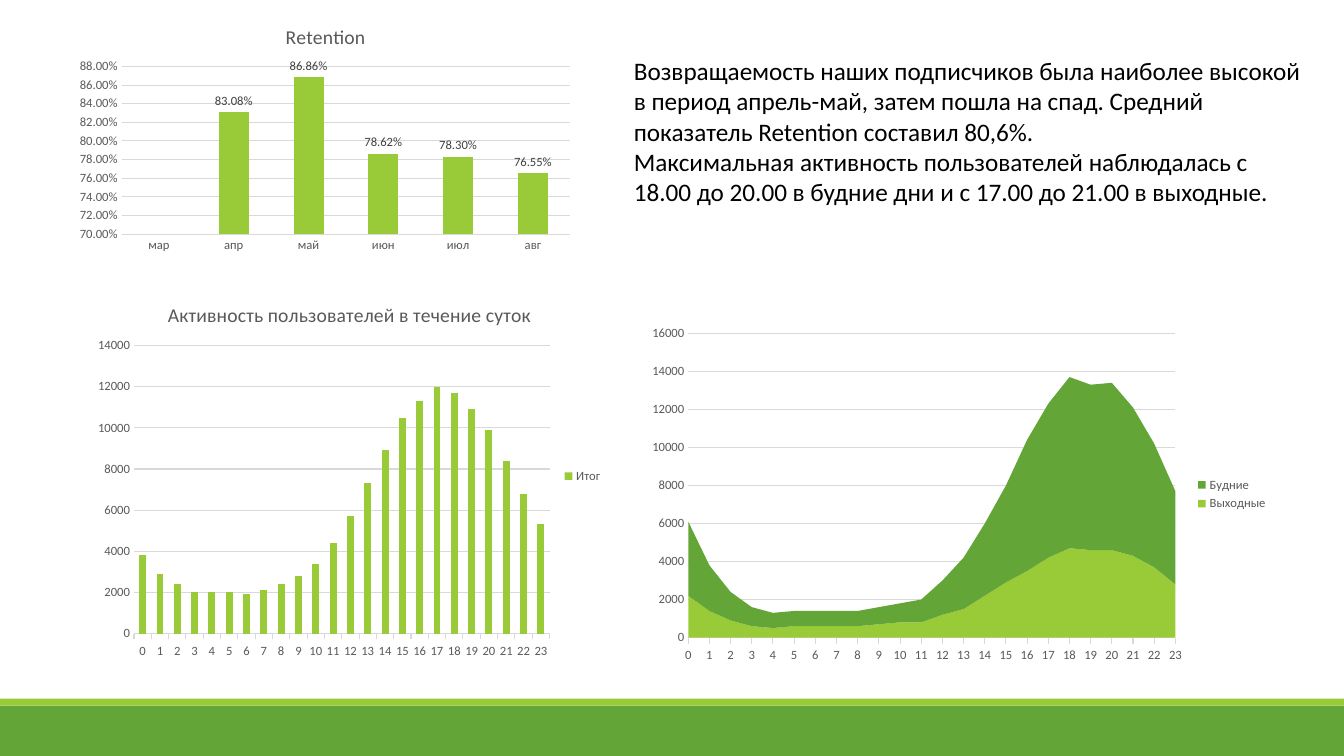
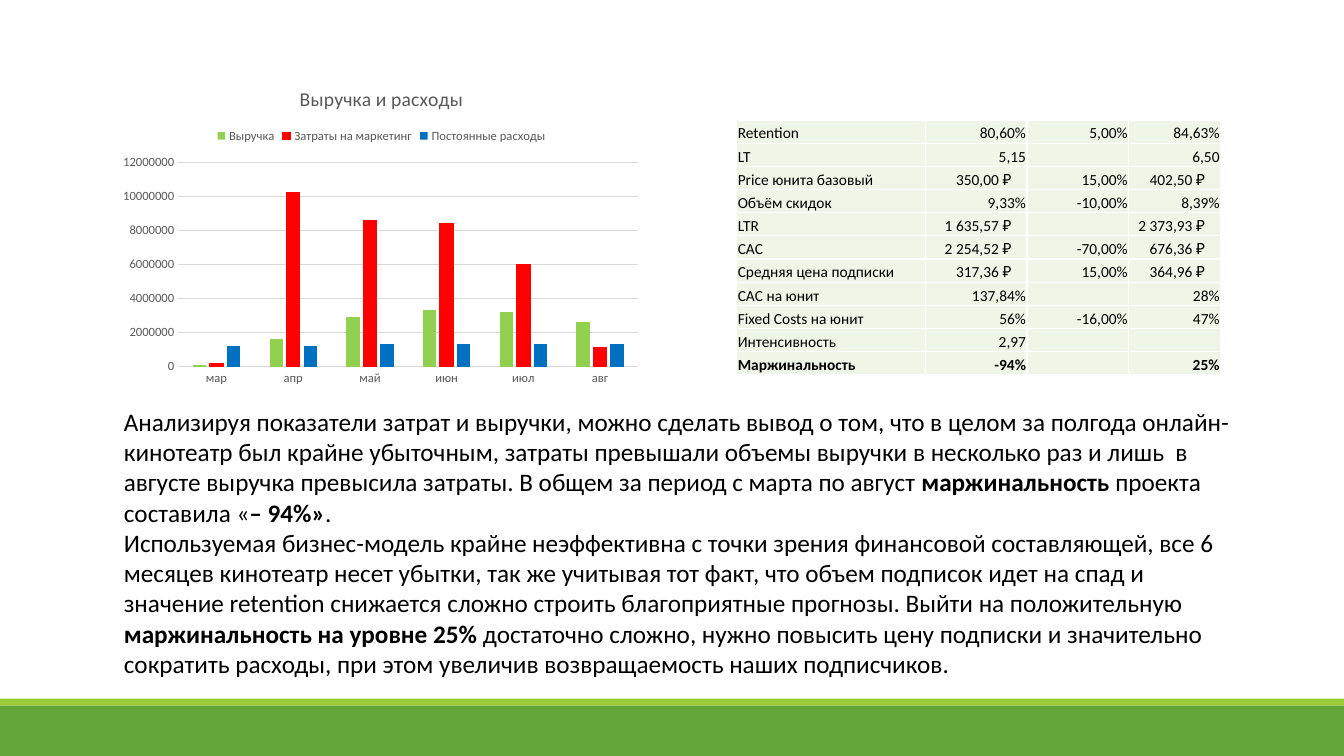
from dataclasses import dataclass
from lxml import etree
from pptx import Presentation
from pptx.chart.data import CategoryChartData
from pptx.dml.color import RGBColor
from pptx.enum.chart import XL_CHART_TYPE, XL_LABEL_POSITION, XL_LEGEND_POSITION, XL_TICK_MARK
from pptx.enum.shapes import MSO_SHAPE
from pptx.enum.text import MSO_ANCHOR, PP_ALIGN
from pptx.oxml.ns import qn
from pptx.util import Pt

BAR, AREA = XL_CHART_TYPE.COLUMN_CLUSTERED, XL_CHART_TYPE.AREA_STACKED
RIGHT, TOP = XL_LEGEND_POSITION.RIGHT, XL_LEGEND_POSITION.TOP
NONE, OUT = XL_TICK_MARK.NONE, XL_TICK_MARK.OUTSIDE
ABOVE = XL_LABEL_POSITION.OUTSIDE_END
RECT = MSO_SHAPE.RECTANGLE
BASE = MSO_ANCHOR.BOTTOM
LEFT_AL, RIGHT_AL = PP_ALIGN.LEFT, PP_ALIGN.RIGHT


@dataclass(frozen=True)
class Theme:
    face: str = "Calibri"
    green: str = "63A537"
    lime: str = "99CB38"
    leaf: str = "92D050"
    red: str = "FF0000"
    blue: str = "0070C0"
    pale: str = "EFF6E8"
    white: str = "FFFFFF"
    ink: str = "000000"
    gray: str = "595959"
    dark: str = "404040"
    grid: str = "D9D9D9"
    body: float = 18
    head: float = 14
    cell: float = 11
    note: float = 9
    hair: float = 0.75


T = Theme()
WIDE, HIGH = 960, 540
BANDS = [(504, 36, T.green), (499, 5, T.lime)]

MONTHS = ["мар", "апр", "май", "июн", "июл", "авг"]
HOURS = [str(hour) for hour in range(24)]

RETURN = {
    "box": (50.4, 6.5, 364.3, 178.6), "plot": (0.1, 0.23, 0.88, 0.67),
    "kind": BAR, "title": "Retention", "cats": MONTHS, "gap": {"gap_width": 150},
    "scale": (0.7, 0.88, 0.02), "format": "0.00%", "tick": NONE, "base": False,
    "legend": None, "labels": True,
    "series": [("Retention", T.lime, None, [None, 0.8308, 0.8686, 0.7862, 0.783, 0.7655])],
}
DAY = {
    "box": (61.9, 203, 375.8, 274.3), "plot": (0.09, 0.16, 0.79, 0.75),
    "kind": BAR, "title": "Активность пользователей в течение суток", "cats": HOURS,
    "gap": {"gap_width": 150}, "scale": (0, 14000, 2000), "format": "General",
    "tick": OUT, "base": True, "legend": RIGHT, "labels": False,
    "series": [("Итог", T.lime, None, [
        3800, 2900, 2400, 2000, 2000, 2000, 1900, 2100, 2400, 2800, 3400, 4400,
        5700, 7300, 8900, 10500, 11300, 12000, 11700, 10900, 9900, 8400, 6800, 5300])],
}
WEEK = {
    "box": (455, 228.2, 457.9, 249.8), "plot": (0.08, 0.04, 0.76, 0.87),
    "kind": AREA, "title": None, "cats": HOURS, "gap": {},
    "scale": (0, 16000, 2000), "format": "General", "tick": OUT, "base": True,
    "legend": RIGHT, "labels": False,
    "series": [
        ("Выходные", T.lime, None, [
            2200, 1400, 900, 600, 500, 600, 600, 600, 600, 700, 800, 800,
            1200, 1500, 2200, 2900, 3500, 4200, 4700, 4600, 4600, 4300, 3700, 2800]),
        ("Будние", T.green, None, [
            3900, 2400, 1500, 1000, 800, 800, 800, 800, 800, 900, 1000, 1200,
            1800, 2700, 3800, 5100, 6900, 8100, 9000, 8700, 8800, 7800, 6500, 4900]),
    ],
}
MONEY = {
    "box": (81.4, 49.7, 382.3, 228.2), "plot": (0.12, 0.29, 0.86, 0.64),
    "kind": BAR, "title": "Выручка и расходы", "cats": MONTHS,
    "gap": {"gap_width": 219, "overlap": -27}, "scale": (0, 12000000, 2000000),
    "format": "General", "tick": NONE, "base": True, "legend": TOP, "labels": False,
    "series": [
        ("Выручка", T.leaf, None, [100000, 1600000, 2900000, 3300000, 3200000, 2600000]),
        ("Затраты на маркетинг", T.red, T.red,
         [200000, 10200000, 8600000, 8400000, 6000000, 1100000]),
        ("Постоянные расходы", T.blue, None,
         [1200000, 1200000, 1300000, 1300000, 1300000, 1300000]),
    ],
}

HABITS = [
    "Возвращаемость наших подписчиков была наиболее высокой в период апрель-май, "
    "затем пошла на спад. Средний показатель Retention составил 80,6%.",
    "Максимальная активность пользователей наблюдалась с 18.00 до 20.00 в будние дни "
    "и с 17.00 до 21.00 в выходные.",
]
VERDICT = [
    "Анализируя показатели затрат и выручки, можно сделать вывод о том, что в целом за "
    "полгода онлайн-кинотеатр был крайне убыточным, затраты превышали объемы выручки в "
    "несколько раз и лишь  в августе выручка превысила затраты. В общем за период с марта "
    "по август* маржинальность *проекта составила «*– 94%»*.",
    "Используемая бизнес-модель крайне неэффективна с точки зрения финансовой составляющей, "
    "все 6 месяцев кинотеатр несет убытки, так же учитывая тот факт, что объем подписок идет "
    "на спад и значение retention снижается сложно строить благоприятные прогнозы. Выйти на "
    "положительную *маржинальность на уровне 25% *достаточно сложно, нужно повысить цену "
    "подписки и значительно сократить расходы, при этом увеличив возвращаемость наших "
    "подписчиков.",
]
COLS = [134.6, 72.7, 72.7, 65.6]
ROW = 16.56
UNITS = [
    ("Retention", "80,60%", "5,00%", "84,63%"),
    ("LT", "5,15", "", "6,50"),
    ("Price юнита базовый", "350,00 ₽", "15,00%", "402,50 ₽"),
    ("Объём скидок", "9,33%", "-10,00%", "8,39%"),
    ("LTR", "1 635,57 ₽", "", "2 373,93 ₽"),
    ("CAC", "2 254,52 ₽", "-70,00%", "676,36 ₽"),
    ("Средняя цена подписки", "317,36 ₽", "15,00%", "364,96 ₽"),
    ("CAC на юнит", "137,84%", "", "28%"),
    ("Fixed Costs на юнит", "56%", "-16,00%", "47%"),
    ("Интенсивность", "2,97", "", ""),
    ("Маржинальность", "-94%", "", "25%"),
]


def put(target, values):
    for name, value in values.items():
        setattr(target, name, value)


def points(box):
    return [Pt(side) for side in box]


def paint(fill, color):
    fill.solid()
    fill.fore_color.rgb = RGBColor.from_string(color)


def stroke(line, color, width=T.hair):
    paint(line.fill, color)
    line.width = Pt(width)


def style(font, size, color=T.ink, bold=False):
    put(font, {"name": T.face, "size": Pt(size), "bold": bold})
    font.color.rgb = RGBColor.from_string(color)


def add_bands(slide, master):
    for top, height, color in BANDS:
        band = slide.shapes.add_shape(RECT, *points((0, top, WIDE, height)))
        band.shadow.inherit = False
        paint(band.fill, color)
        band.line.fill.background()
        master.shapes.element.append(band.element)


def add_text(slide, box, lines):
    frame = slide.shapes.add_textbox(*points(box)).text_frame
    frame.word_wrap = True
    for row, line in enumerate(lines):
        para = frame.add_paragraph() if row else frame.paragraphs[0]
        for part, words in enumerate(line.split("*")):
            run = para.add_run()
            run.text = words
            style(run.font, T.body, bold=part % 2 == 1)


def place_plot(chart, box):
    area = chart.element.find(".//" + qn("c:plotArea"))
    for old in area.findall(qn("c:layout")):
        area.remove(old)
    layout = etree.Element(qn("c:layout"))
    manual = etree.SubElement(layout, qn("c:manualLayout"))
    pairs = [("layoutTarget", "inner"), ("xMode", "edge"), ("yMode", "edge"),
             *zip("xywh", box)]
    for tag, value in pairs:
        etree.SubElement(manual, qn("c:" + tag), val=str(value))
    area.insert(0, layout)


def set_axes(chart, info):
    low, high, step = info["scale"]
    rows, cols = chart.value_axis, chart.category_axis
    put(rows, {"minimum_scale": low, "maximum_scale": high, "major_unit": step,
               "major_tick_mark": NONE, "minor_tick_mark": NONE,
               "has_major_gridlines": True})
    put(rows.tick_labels, {"number_format": info["format"], "number_format_is_linked": False})
    stroke(rows.major_gridlines.format.line, T.grid)
    rows.format.line.fill.background()
    put(cols, {"major_tick_mark": info["tick"], "minor_tick_mark": NONE,
               "has_major_gridlines": False})
    if info["base"]:
        stroke(cols.format.line, T.grid)
    else:
        cols.format.line.fill.background()
    for axis in (rows, cols):
        style(axis.tick_labels.font, T.note, T.gray)


def add_graph(slide, info):
    data = CategoryChartData(number_format=info["format"])
    data.categories = info["cats"]
    for name, color, edge, values in info["series"]:
        data.add_series(name, values)
    chart = slide.shapes.add_chart(info["kind"], *points(info["box"]), data).chart
    style(chart.font, T.note, T.gray)
    put(chart, {"has_title": bool(info["title"]), "has_legend": bool(info["legend"])})
    if info["title"]:
        frame = chart.chart_title.text_frame
        frame.text = info["title"]
        style(frame.paragraphs[0].runs[0].font, T.head, T.gray)
    if info["legend"]:
        put(chart.legend, {"position": info["legend"], "include_in_layout": False})
        style(chart.legend.font, T.note, T.gray)
    plot = chart.plots[0]
    put(plot, {"vary_by_categories": False, **info["gap"]})
    for series, (name, color, edge, values) in zip(plot.series, info["series"]):
        paint(series.format.fill, color)
        if edge:
            stroke(series.format.line, edge)
    if info["labels"]:
        plot.has_data_labels = True
        put(plot.data_labels, {"show_value": True, "position": ABOVE,
                               "number_format": info["format"],
                               "number_format_is_linked": False})
        style(plot.data_labels.font, T.note, T.dark)
    set_axes(chart, info)
    place_plot(chart, info["plot"])


def edge_cell(cell):
    props = cell._tc.get_or_add_tcPr()
    for spot, side in enumerate(("lnL", "lnR", "lnT", "lnB")):
        line = etree.Element(qn("a:" + side), w=str(Pt(1)))
        fill = etree.SubElement(line, qn("a:solidFill"))
        etree.SubElement(fill, qn("a:srgbClr"), val=T.white)
        props.insert(spot, line)


def add_units(slide, left, top):
    box = (left, top, sum(COLS), ROW * len(UNITS))
    table = slide.shapes.add_table(len(UNITS), len(COLS), *points(box)).table
    put(table, {"first_row": False, "horz_banding": False})
    for col, width in zip(table.columns, COLS):
        col.width = Pt(width)
    for row, words in enumerate(UNITS):
        table.rows[row].height = Pt(ROW)
        for col, text in enumerate(words):
            cell = table.cell(row, col)
            inset = 11 if text.endswith("₽") else 0.7
            put(cell, {"vertical_anchor": BASE, "margin_left": Pt(0.7),
                       "margin_right": Pt(inset), "margin_top": Pt(0.7), "margin_bottom": 0})
            paint(cell.fill, T.pale)
            edge_cell(cell)
            para = cell.text_frame.paragraphs[0]
            para.alignment = RIGHT_AL if col else LEFT_AL
            if text:
                run = para.add_run()
                run.text = text
                style(run.font, T.cell, bold=row == len(UNITS) - 1)
            else:
                etree.SubElement(para._p, qn("a:endParaRPr"), sz=str(T.cell * 100))


deck = Presentation()
put(deck, {"slide_width": Pt(WIDE), "slide_height": Pt(HIGH)})
blank = deck.slide_layouts[6]

habits = deck.slides.add_slide(blank)
add_bands(habits, deck.slide_master)
for info in (RETURN, DAY, WEEK):
    add_graph(habits, info)
add_text(habits, (445.7, 36, 491.8, 116.6), HABITS)

profit = deck.slides.add_slide(blank)
add_text(profit, (81.4, 286.6, 816.5, 225.4), VERDICT)
add_graph(profit, MONEY)
add_units(profit, 526.3, 85.7)

deck.save("out.pptx")
